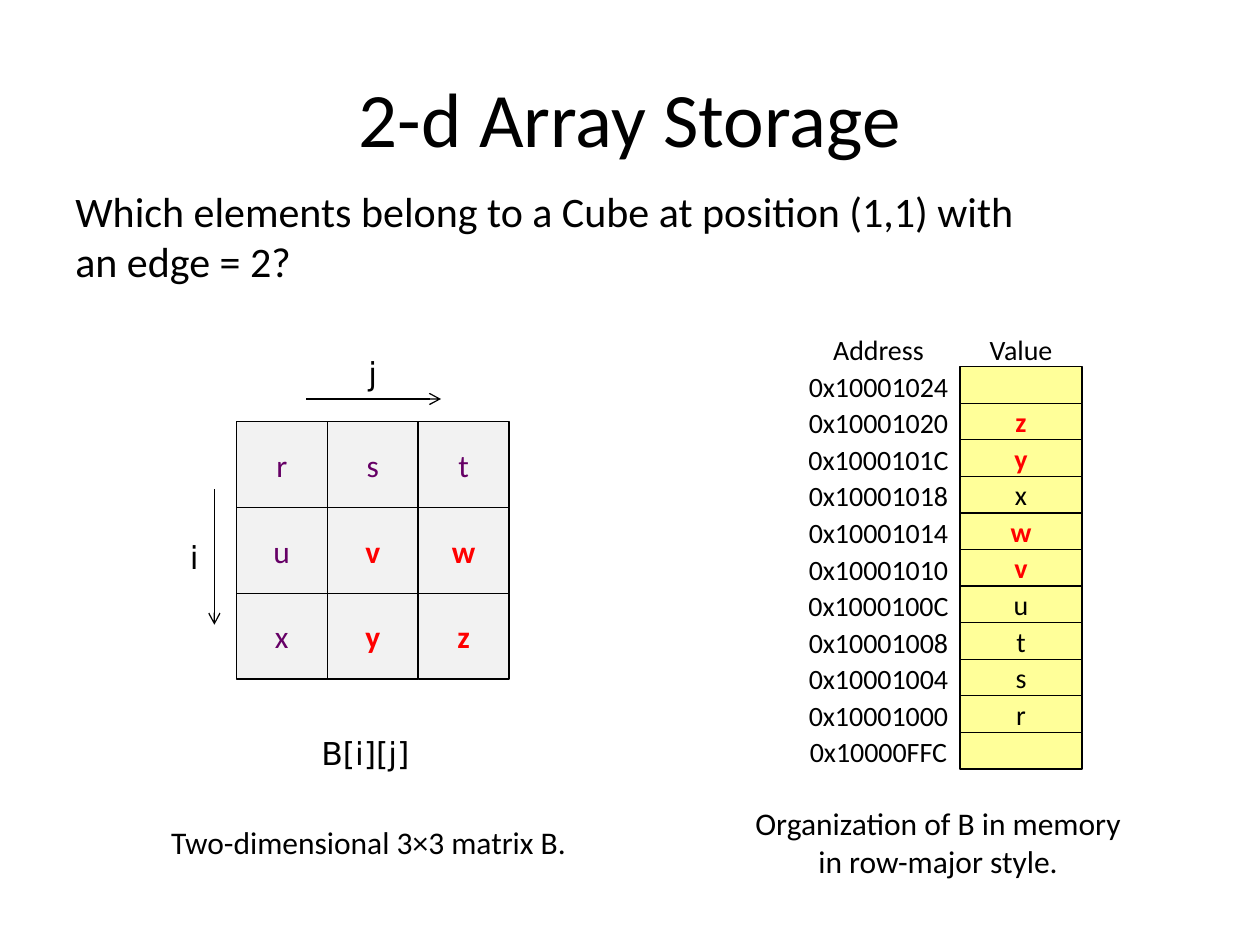
from dataclasses import dataclass

from lxml.etree import SubElement
from pptx import Presentation
from pptx.dml.color import RGBColor
from pptx.enum.shapes import MSO_CONNECTOR, MSO_SHAPE
from pptx.enum.text import MSO_ANCHOR, PP_ALIGN
from pptx.oxml.ns import qn
from pptx.util import Pt


@dataclass(frozen=True)
class Theme:
    black: RGBColor = RGBColor(0x00, 0x00, 0x00)
    red: RGBColor = RGBColor(0xFF, 0x00, 0x00)
    purple: RGBColor = RGBColor(0x66, 0x00, 0x66)
    gray: RGBColor = RGBColor(0xF2, 0xF2, 0xF2)
    yellow: RGBColor = RGBColor(0xFF, 0xFF, 0x99)
    font: str = "Calibri"
    index_font: str = "DejaVu Sans"
    title: Pt = Pt(44)
    question: Pt = Pt(24)
    label: Pt = Pt(18)
    memory: Pt = Pt(16)
    line: Pt = Pt(0.75)


theme = Theme()
presentation = Presentation()
presentation.slide_width, presentation.slide_height = Pt(720), Pt(540)
slide = presentation.slides.add_slide(presentation.slide_layouts[6])


def write(shape, lines, align=PP_ALIGN.CENTER, anchor=MSO_ANCHOR.MIDDLE, wrap=False, **font_values):
    """Fill a shape with one paragraph for each line."""
    frame = shape.text_frame
    frame.word_wrap, frame.vertical_anchor = wrap, anchor
    font_values = {"name": theme.font, "size": theme.label, **font_values}
    color = font_values.pop("color", theme.black)
    for number, line in enumerate(lines):
        paragraph = frame.add_paragraph() if number else frame.paragraphs[0]
        paragraph.alignment = align
        run = paragraph.add_run()
        run.text = line
        run.font.color.rgb = color
        for name, value in font_values.items():
            setattr(run.font, name, value)


def add_cell(left, top, width, height, fill, letter, size, color):
    """Draw one outlined cell, with the elements of the cube in bold red."""
    cell = slide.shapes.add_shape(MSO_SHAPE.RECTANGLE, Pt(left), Pt(top), Pt(width), Pt(height))
    cell.shadow.inherit = False
    cell.fill.solid()
    cell.fill.fore_color.rgb = fill
    cell.line.color.rgb = theme.black
    cell.line.width = theme.line
    in_cube = letter in cube
    if letter:
        write(cell, [letter], size=size, bold=in_cube, color=theme.red if in_cube else color)


# Contents
matrix = ["rst", "uvw", "xyz"]
cube = {"v", "w", "y", "z"}
stored = ["", *reversed("".join(matrix)), ""]
addresses = [f"0x{address:X}" for address in range(0x10001024, 0x10000FF8, -4)]

# Memory column: headings, addresses and values
row_top, row_height = 209.5, 20.9
address_left, address_width = 454, 96
value_left, value_width = 548.6, 69.8
text_height = 26.6
labels = [("Address", address_left, address_width, 186.5), ("Value", value_left, value_width, 186.5)]
for row, (address, letter) in enumerate(zip(addresses, stored)):
    top = row_top + row * row_height
    add_cell(value_left, top, value_width, row_height, theme.yellow, letter, theme.memory, theme.black)
    labels.append((address, address_left, address_width, top - 2.2))
for text, left, width, top in labels:
    label = slide.shapes.add_textbox(Pt(left), Pt(top), Pt(width), Pt(text_height))
    write(label, [text], size=theme.memory)

# Matrix
matrix_left, matrix_top = 135, 241
cell_width, cell_height = 52, 49
for row, letters in enumerate(matrix):
    for column, letter in enumerate(letters):
        add_cell(matrix_left + column * cell_width, matrix_top + row * cell_height,
                 cell_width, cell_height, theme.gray, letter, theme.label, theme.purple)

# Arrows for the directions of i and j
for ends in [(122.5, 279.5, 122.5, 357), (175, 228, 252, 228)]:
    arrow = slide.shapes.add_connector(MSO_CONNECTOR.STRAIGHT, *[Pt(value) for value in ends])
    arrow.line.color.rgb = theme.black
    arrow.line.width = theme.line
    SubElement(arrow.line._get_or_add_ln(), qn("a:tailEnd"), type="arrow")
    SubElement(arrow._element.spPr, qn("a:effectLst"))

# Index labels, captions, title and question
left_top = {"align": PP_ALIGN.LEFT, "anchor": MSO_ANCHOR.TOP}
index_format = {**left_top, "name": theme.index_font}
texts = [
    (["i"], 101.5, 304, 19.5, 29, index_format),
    (["j"], 203.5, 198.5, 21.5, 29, index_format),
    (["B[i][j]"], 176.5, 416, 71.5, 29, index_format),
    (["Two-dimensional 3×3 matrix B."], 90.7, 466.5, 242.6, 29, left_top),
    (["Organization of B in memory", "in row-major style."], 423.4, 455.8, 225.4, 51,
     {"anchor": MSO_ANCHOR.TOP}),
    (["2-d Array Storage"], 36, 21.6, 648, 90, {"size": theme.title, "wrap": True}),
    (["Which elements belong to a Cube at position (1,1) with", "an edge = 2?"],
     36, 102.2, 556, 65.5, {**left_top, "size": theme.question}),
]
for lines, left, top, width, height, text_format in texts:
    box = slide.shapes.add_textbox(Pt(left), Pt(top), Pt(width), Pt(height))
    write(box, lines, **text_format)

presentation.save("out.pptx")
